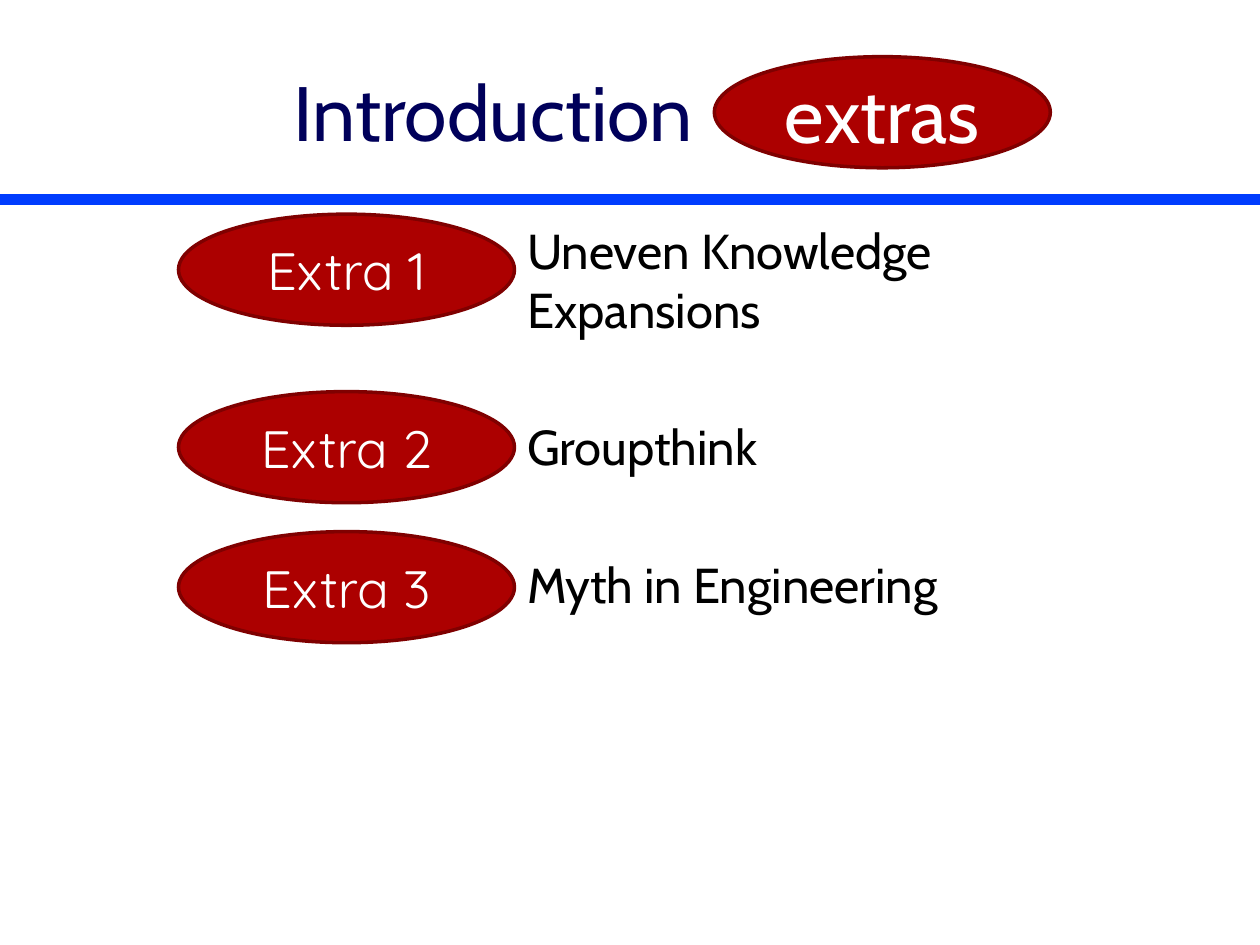
import pptx
import pptx.dml.color
import pptx.enum.shapes
import pptx.enum.text
import pptx.oxml.ns
import pptx.util
import lxml.etree

Pt = pptx.util.Pt
RGBColor = pptx.dml.color.RGBColor
ALIGN = pptx.enum.text.PP_ALIGN

NAVY = RGBColor(0x00, 0x00, 0x5A)
BLUE = RGBColor(0x00, 0x3C, 0xFE)
RED = RGBColor(0xAC, 0x00, 0x00)
DARK_RED = RGBColor(0x7F, 0x00, 0x00)
WHITE = RGBColor(0xFF, 0xFF, 0xFF)
BLACK = RGBColor(0x00, 0x00, 0x00)

SLIDE_WIDTH, SLIDE_HEIGHT = 720, 540
BADGE_WIDTH, BADGE_HEIGHT = 192, 63.5
EXTRAS = [
    ("Extra 1", "Uneven Knowledge Expansions", 122.4),
    ("Extra 2", "Groupthink", 223.8),
    ("Extra 3", "Myth in Engineering", 303.8),
]


def place(shape, left, top, width, height):
    shape.left, shape.top = Pt(left), Pt(top)
    shape.width, shape.height = Pt(width), Pt(height)


def format_paragraph(paragraph, font_name, size, color, alignment):
    paragraph.alignment = alignment
    paragraph.font.name = font_name
    paragraph.font.size = Pt(size)
    paragraph.font.color.rgb = color


def add_badge(slide, text, left, top, font_name, size):
    badge = slide.shapes.add_shape(
        pptx.enum.shapes.MSO_SHAPE.OVAL,
        Pt(left), Pt(top), Pt(BADGE_WIDTH), Pt(BADGE_HEIGHT))
    badge.shadow.inherit = False
    badge.fill.solid()
    badge.fill.fore_color.rgb = RED
    badge.line.color.rgb = DARK_RED
    badge.line.width = Pt(2)
    badge.text_frame.text = text
    badge.text_frame.vertical_anchor = pptx.enum.text.MSO_ANCHOR.MIDDLE
    format_paragraph(badge.text_frame.paragraphs[0], font_name, size, WHITE, ALIGN.CENTER)


def add_rule(slide, left, top, width):
    rule = slide.shapes.add_connector(
        pptx.enum.shapes.MSO_CONNECTOR.STRAIGHT,
        Pt(left), Pt(top), Pt(left + width), Pt(top))
    rule.line.color.rgb = BLUE
    rule.line.width = Pt(6)
    properties = rule._element.spPr
    lxml.etree.SubElement(properties, pptx.oxml.ns.qn("a:effectLst"))


def add_heading(slide, left, top, width, height):
    title = slide.shapes.title
    place(title, left, top, width, height)
    frame = title.text_frame
    frame.text = "Introduction"
    frame.auto_size = pptx.enum.text.MSO_AUTO_SIZE.NONE
    frame.vertical_anchor = pptx.enum.text.MSO_ANCHOR.MIDDLE
    format_paragraph(frame.paragraphs[0], "Cabin", 44, NAVY, ALIGN.CENTER)
    add_badge(slide, "extras", 408.2, 32.4, "Cabin", 44)


def add_topics(slide, left, top, width, height):
    body = slide.placeholders[1]
    place(body, left, top, width, height)
    frame = body.text_frame
    frame.text = "\n".join(topic for _, topic, _ in EXTRAS)
    frame.auto_size = pptx.enum.text.MSO_AUTO_SIZE.NONE
    for index, paragraph in enumerate(frame.paragraphs):
        format_paragraph(paragraph, "Cabin", 28, BLACK, ALIGN.LEFT)
        paragraph.space_before = Pt(45 if index else 0)
        properties = paragraph._p.get_or_add_pPr()
        properties.set("marL", "0")
        properties.set("indent", "0")
        lxml.etree.SubElement(properties, pptx.oxml.ns.qn("a:buNone"))
        properties.append(properties.find(pptx.oxml.ns.qn("a:defRPr")))

    for label, _, badge_top in EXTRAS:
        add_badge(slide, label, left - BADGE_WIDTH, badge_top, "Quicksand", 30)


def main():
    presentation = pptx.Presentation()
    presentation.slide_width = Pt(SLIDE_WIDTH)
    presentation.slide_height = Pt(SLIDE_HEIGHT)
    slide = presentation.slides.add_slide(presentation.slide_layouts[1])
    slide.background.fill.solid()
    slide.background.fill.fore_color.rgb = WHITE
    add_rule(slide, 0, 114, SLIDE_WIDTH)
    add_heading(slide, 36, 18, 492, 90)
    add_topics(slide, 294, 122.4, 319, 356.4)
    presentation.save("out.pptx")


if __name__ == "__main__":
    main()
